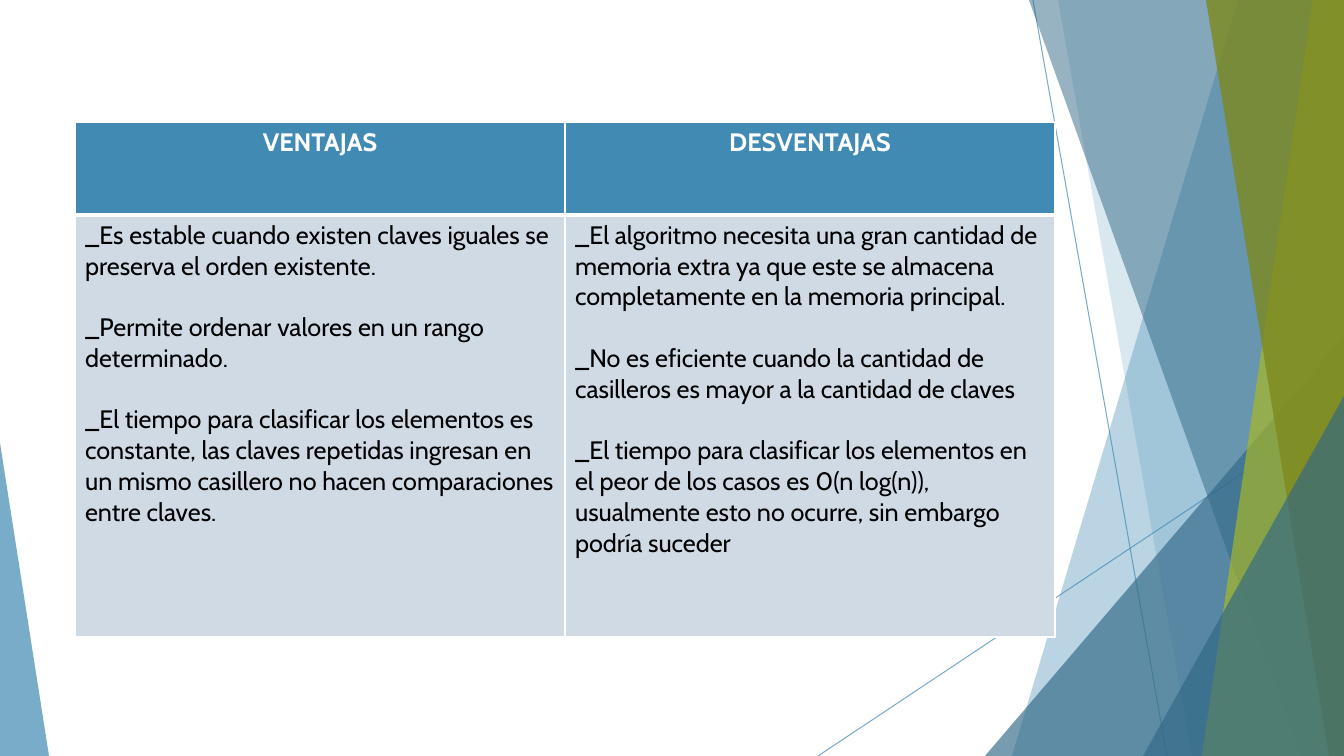
"""Build the slide comparing advantages and disadvantages of a sorting method."""
from lxml.etree import SubElement
from pptx import Presentation
from pptx.dml.color import RGBColor
from pptx.enum.shapes import MSO_CONNECTOR, MSO_SHAPE
from pptx.enum.text import PP_ALIGN
from pptx.oxml.ns import qn
from pptx.util import Pt

SLIDE_WIDTH, SLIDE_HEIGHT = 1344, 756
EMU_PER_PX = 914400 / 100.8

COMPARISON = {
    "VENTAJAS": [
        "_Es estable cuando existen claves iguales se preserva el orden existente.",
        "_Permite ordenar valores en un rango determinado.",
        "_El tiempo para clasificar los elementos es constante, las claves repetidas "
        "ingresan en un mismo casillero no hacen comparaciones entre claves.",
    ],
    "DESVENTAJAS": [
        "_El algoritmo necesita una gran cantidad de memoria extra ya que este se almacena "
        "completamente en la memoria principal.",
        "_No es eficiente cuando la cantidad de casilleros es mayor a la cantidad de claves",
        "_El tiempo para clasificar los elementos en el peor de los casos es 0(n log(n)), "
        "usualmente esto no ocurre, sin embargo podría suceder",
    ],
}
TABLE_BOX = (75, 122, 980, 515)
ROW_HEIGHTS = (93, 422)
HEADER = {
    "fill": "418AB3", "color": "FFFFFF", "align": PP_ALIGN.CENTER,
    "font": {"name": "Cabin", "size": Pt(18), "bold": True},
    "borders": {"L": 1, "R": 1, "T": 1, "B": 3},
}
BODY = {
    "fill": "CFDAE5", "color": "000000", "align": PP_ALIGN.LEFT,
    "font": {"name": "Cabin", "size": Pt(18), "bold": False},
    "borders": {"L": 1, "R": 1, "T": 3, "B": 1},
}
POINT_GAP = Pt(22)

RAYS = [(1033, 0, 1167, 756), (1344, 406, 818, 756)]
FACETS = [
    ("band", (1238, 1012), "418AB3", 36),
    ("band", (1058, 1192), "418AB3", 20),
    ("triangle", (985, 336, 359, 420, 1), "316886", 66),
    ("band", (1029, 1301), "316886", 50),
    ("band", (1313, 1202), "A6B727", 70),
    ("band", (1206, 1329), "7D891D", 80),
    ("triangle", (1143, 396, 201, 360, 1), "316886", 66),
    ("triangle", (0, 443, 49, 313, 0), "418AB3", 70),
]


def px(*lengths):
    """Turn pixel lengths into a list of EMU."""
    return [round(length * EMU_PER_PX) for length in lengths]


def paint(color_format, color, opacity=100):
    """Give a fill or font colour a hex value and an opacity in percent."""
    color_format.rgb = RGBColor.from_string(color)


def set_solid(fill, color):
    """Make a fill solid in a hex colour."""
    fill.solid()
    paint(fill.fore_color, color)


def set_opacity(shape, opacity):
    """Set the opacity of the solid colour of a shape or line, in percent."""
    for srgb in shape._element.spPr.iter(qn("a:srgbClr")):
        SubElement(srgb, qn("a:alpha"), val=str(opacity * 1000))


def add_ray(shapes, ends):
    """Draw one thin decorative line."""
    ray = shapes.add_connector(MSO_CONNECTOR.STRAIGHT, *px(*ends))
    ray.line.width = Pt(0.75)
    set_solid(ray.line.fill, "418AB3")
    set_opacity(ray, 70)
    SubElement(ray._element.spPr, qn("a:effectLst"))


def add_facet(shapes, kind, geometry, color, opacity):
    """Draw one translucent band against the right edge, or one triangle."""
    if kind == "band":
        top_x, bottom_x = geometry
        corners = [(SLIDE_WIDTH, 0), (SLIDE_WIDTH, SLIDE_HEIGHT), (bottom_x, SLIDE_HEIGHT)]
        outline = shapes.build_freeform(*px(top_x, 0))
        outline.add_line_segments([px(*corner) for corner in corners], close=True)
        facet = outline.convert_to_shape()
    else:
        *box, apex = geometry
        facet = shapes.add_shape(MSO_SHAPE.ISOSCELES_TRIANGLE, *px(*box))
        facet.adjustments[0] = apex
    facet.shadow.inherit = False
    facet.line.fill.background()
    set_solid(facet.fill, color)
    set_opacity(facet, opacity)


def fill_cell(cell, points, look):
    """Write paragraphs into a cell and give it borders, fill and font."""
    properties = cell._tc.get_or_add_tcPr()
    for side, width in look["borders"].items():
        border = SubElement(properties, qn(f"a:ln{side}"), w=str(Pt(width)))
        SubElement(SubElement(border, qn("a:solidFill")), qn("a:srgbClr"), val="FFFFFF")
    set_solid(cell.fill, look["fill"])
    cell.text = "\n".join(points)
    for position, paragraph in enumerate(cell.text_frame.paragraphs):
        paragraph.alignment = look["align"]
        if position:
            paragraph.space_before = POINT_GAP
        font = paragraph.runs[0].font
        for attribute, value in look["font"].items():
            setattr(font, attribute, value)
        paint(font.color, look["color"])


def add_comparison(shapes):
    """Add the table with one column per heading."""
    table = shapes.add_table(len(ROW_HEIGHTS), len(COMPARISON), *px(*TABLE_BOX)).table
    table.horz_banding = False
    for row, height in zip(table.rows, px(*ROW_HEIGHTS)):
        row.height = height
    for column, (heading, points) in enumerate(COMPARISON.items()):
        fill_cell(table.cell(0, column), [heading], HEADER)
        fill_cell(table.cell(1, column), points, BODY)


def main():
    """Assemble and save the slide."""
    deck = Presentation()
    deck.slide_width, deck.slide_height = px(SLIDE_WIDTH, SLIDE_HEIGHT)
    shapes = deck.slides.add_slide(deck.slide_layouts[6]).shapes
    for ray in RAYS:
        add_ray(shapes, ray)
    for facet in FACETS:
        add_facet(shapes, *facet)
    add_comparison(shapes)
    deck.save("out.pptx")


if __name__ == "__main__":
    main()
